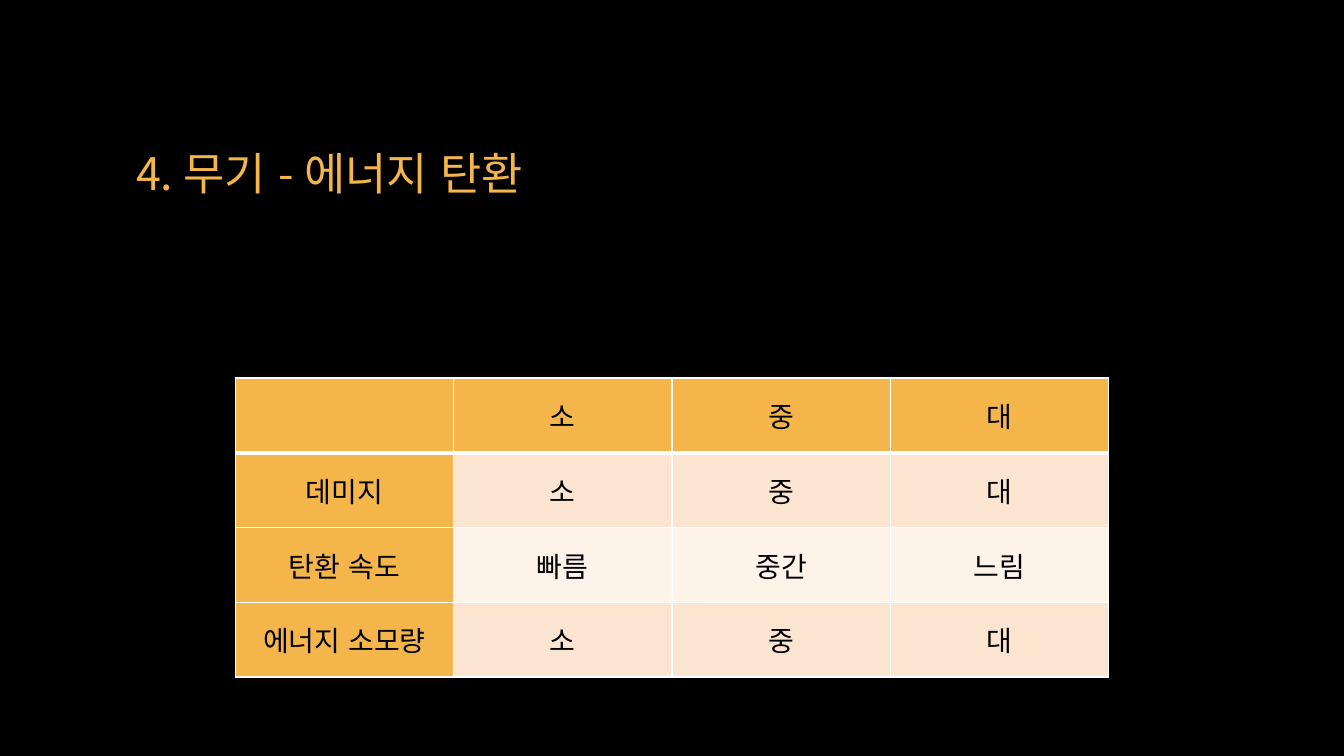
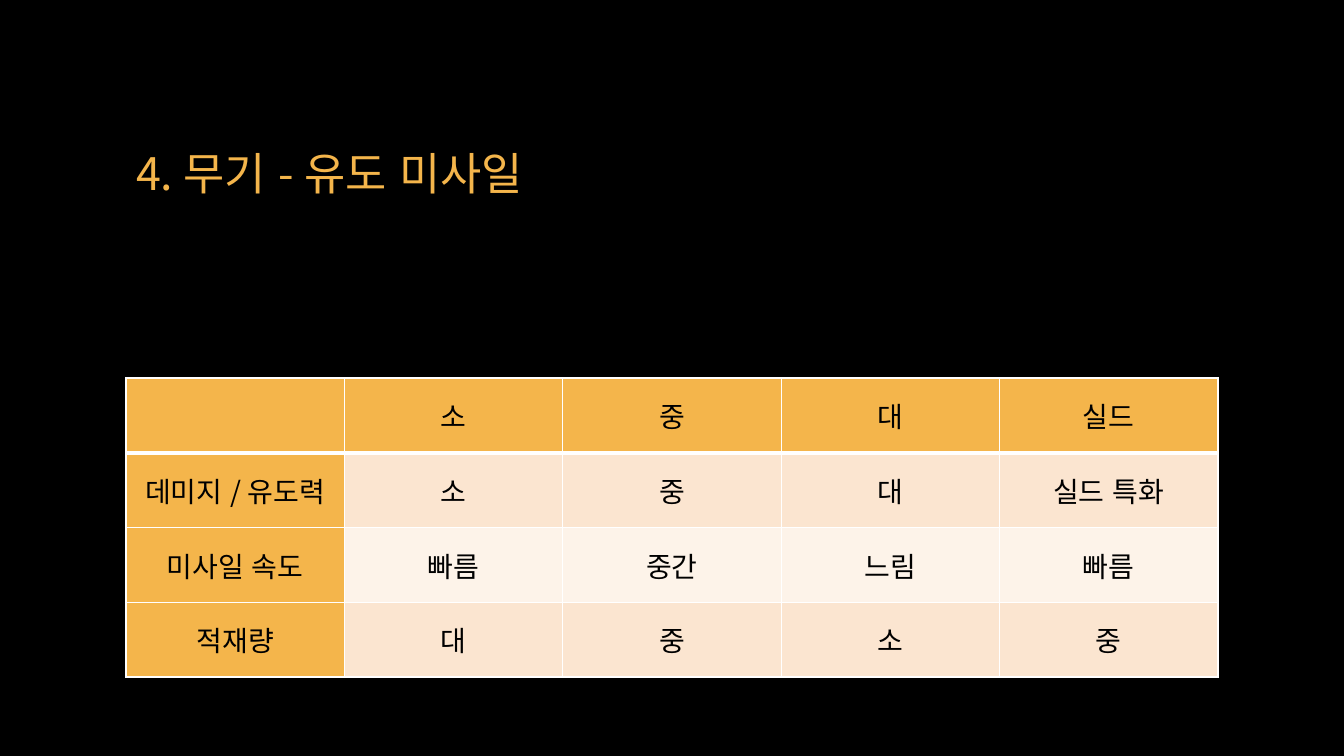
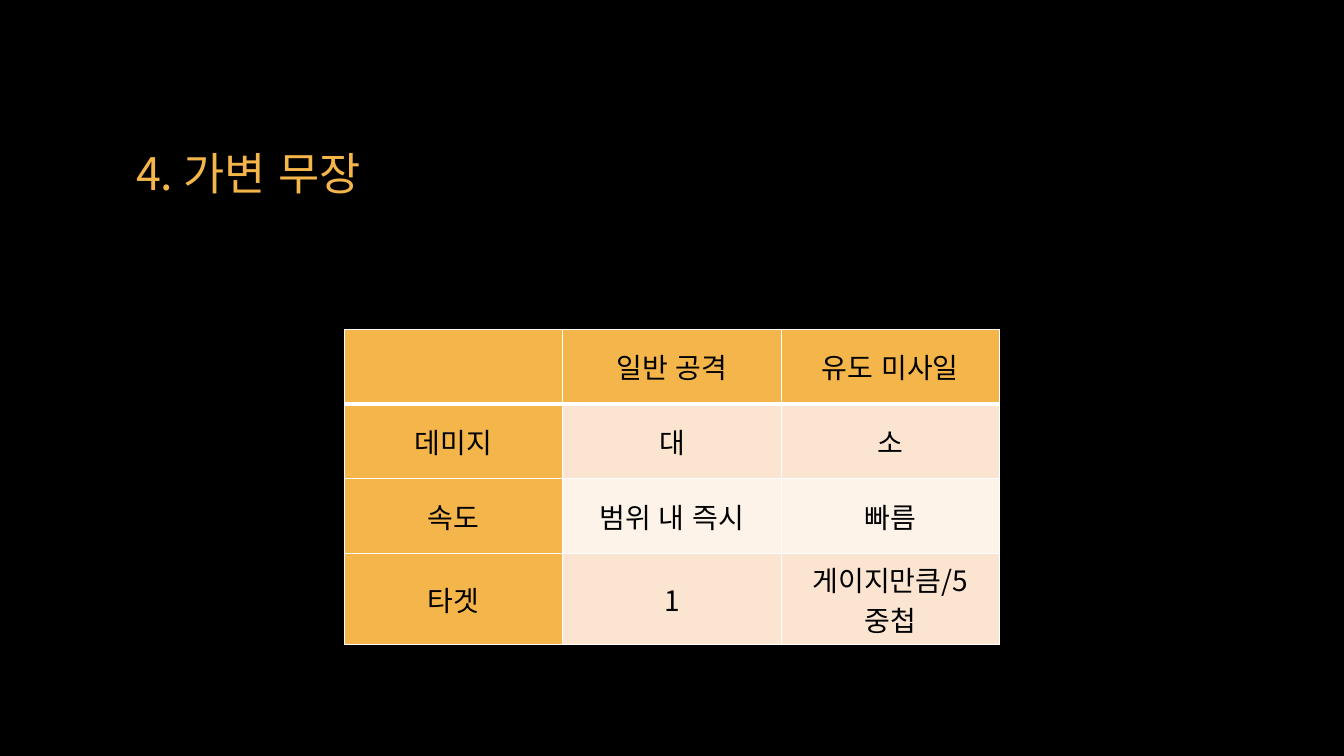
from dataclasses import dataclass

from lxml.etree import Element, SubElement
from pptx import Presentation
from pptx.dml.color import RGBColor
from pptx.enum.lang import MSO_LANGUAGE_ID as Lang
from pptx.enum.text import MSO_ANCHOR as Anchor, PP_ALIGN as Align
from pptx.oxml.ns import qn
from pptx.presentation import Presentation as Deck
from pptx.slide import Slide
from pptx.table import _Cell as Cell
from pptx.text.text import TextFrame
from pptx.util import Emu, Pt

PX = 7620
SLIDE_W, SLIDE_H = 1600, 900
COL_W, ROW_H = 260, 89
FONT = "Noto Sans CJK KR"
BLACK, WHITE = "000000", "FFFFFF"
GOLD, BAND_DARK, BAND_LIGHT = "F4B54B", "FBE5D0", "FDF3E9"
THIN, THICK = 1, 3


@dataclass(frozen=True)
class TextStyle:
    size: int
    color: str
    align: Align


@dataclass(frozen=True)
class WeaponPage:
    title: str
    table_top: int
    rows: tuple[tuple[str, ...], ...]


TITLE = TextStyle(32, GOLD, Align.LEFT)
CELL = TextStyle(20, BLACK, Align.CENTER)
TITLE_BOX = {"left": 150, "top": 80, "width": 1300, "height": 250}

PAGES = (
    WeaponPage("4. 무기 - 에너지 탄환", 450, (
        ("", "소", "중", "대"),
        ("데미지", "소", "중", "대"),
        ("탄환 속도", "빠름", "중간", "느림"),
        ("에너지 소모량", "소", "중", "대"),
    )),
    WeaponPage("4. 무기 - 유도 미사일", 450, (
        ("", "소", "중", "대", "실드"),
        ("데미지 / 유도력", "소", "중", "대", "실드 특화"),
        ("미사일 속도", "빠름", "중간", "느림", "빠름"),
        ("적재량", "대", "중", "소", "중"),
    )),
    WeaponPage("4. 가변 무장", 392, (
        ("", "일반 공격", "유도 미사일"),
        ("데미지", "대", "소"),
        ("속도", "범위 내 즉시", "빠름"),
        ("타겟", "1", "게이지만큼/5중첩"),
    )),
)


def px(n: int) -> Emu:
    return Emu(n * PX)


def rgb(color: str) -> RGBColor:
    return RGBColor.from_string(color)


def write(tf: TextFrame, text: str, style: TextStyle) -> None:
    p = tf.paragraphs[0]
    p.alignment = style.align
    r = p.add_run()
    r.text = text
    font = {"size": Pt(style.size), "name": FONT, "bold": False, "language_id": Lang.KOREAN}
    for name, value in font.items():
        setattr(r.font, name, value)
    r.font.color.rgb = rgb(style.color)
    SubElement(r._r.get_or_add_rPr(), qn("a:ea"), typeface=FONT)


def set_borders(cell: Cell, top: int, bottom: int) -> None:
    tcPr = cell._tc.get_or_add_tcPr()
    widths = {"a:lnL": THIN, "a:lnR": THIN, "a:lnT": top, "a:lnB": bottom}
    for i, (tag, width) in enumerate(widths.items()):
        ln = Element(qn(tag), w=str(Pt(width)))
        SubElement(SubElement(ln, qn("a:solidFill")), qn("a:srgbClr"), val=WHITE)
        tcPr.insert(i, ln)


def cell_color(row: int, col: int) -> str:
    if row == 0 or col == 0:
        return GOLD
    return BAND_DARK if row % 2 else BAND_LIGHT


def add_title(s: Slide, text: str) -> None:
    sp = s.shapes.title
    for name, value in TITLE_BOX.items():
        setattr(sp, name, px(value))
    sp.text_frame.vertical_anchor = Anchor.MIDDLE
    write(sp.text_frame, text, TITLE)


def add_weapon_table(s: Slide, page: WeaponPage) -> None:
    n_rows, n_cols = len(page.rows), len(page.rows[0])
    width = n_cols * COL_W
    table = s.shapes.add_table(
        n_rows, n_cols, px((SLIDE_W - width) // 2), px(page.table_top),
        px(width), px(n_rows * ROW_H),
    ).table
    for name in ("first_row", "horz_banding"):
        setattr(table, name, False)
    for i, row in enumerate(page.rows):
        for j, text in enumerate(row):
            cell = table.cell(i, j)
            cell.vertical_anchor = Anchor.MIDDLE
            cell.fill.solid()
            cell.fill.fore_color.rgb = rgb(cell_color(i, j))
            set_borders(cell, THICK if i == 1 else THIN, THICK if i == 0 else THIN)
            if text:
                write(cell.text_frame, text, CELL)


def add_page(prs: Deck, page: WeaponPage) -> None:
    s = prs.slides.add_slide(prs.slide_layouts.get_by_name("Title Only"))
    add_title(s, page.title)
    add_weapon_table(s, page)


def main() -> None:
    prs = Presentation()
    prs.slide_width, prs.slide_height = px(SLIDE_W), px(SLIDE_H)
    fill = prs.slide_master.background.fill
    fill.solid()
    fill.fore_color.rgb = rgb(BLACK)
    for page in PAGES:
        add_page(prs, page)
    prs.save("out.pptx")


if __name__ == "__main__":
    main()
